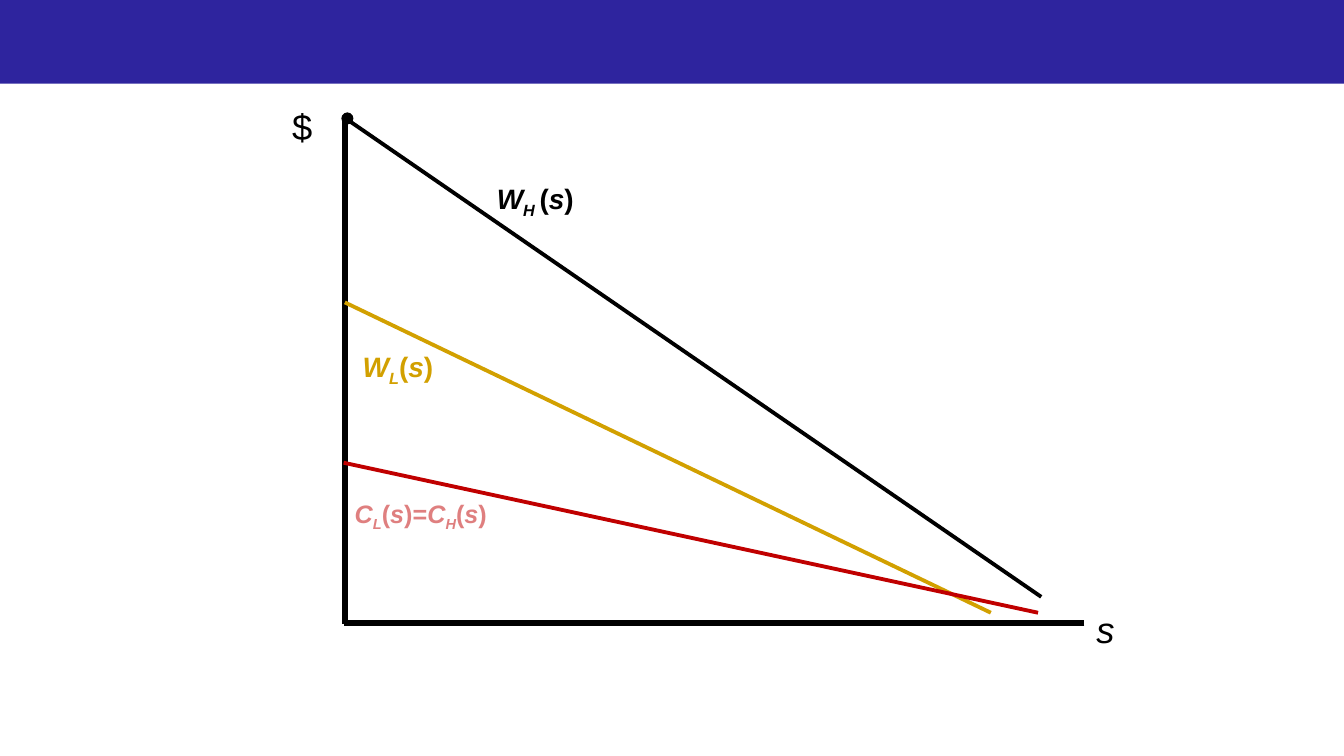
from lxml.etree import SubElement
from pptx import Presentation
from pptx.dml.color import RGBColor
from pptx.enum.shapes import MSO_CONNECTOR, MSO_SHAPE
from pptx.enum.text import MSO_AUTO_SIZE
from pptx.oxml.ns import qn
from pptx.util import Cm, Pt

BLACK, GOLD, RED, BLUE = "000000", "D2A000", "C00000", "2E249E"
WIDE, HIGH = 33.87, 19.05

# start x, start y, end x, end y (cm), colour, weight (pt)
LINES = [
    (8.69, 3.02, 8.69, 15.72, BLACK, 4),
    (27.33, 15.7, 8.66, 15.7, BLACK, 4),
    (24.97, 15.44, 8.69, 7.62, GOLD, 2.75),
    (26.16, 15.44, 8.66, 11.66, RED, 2.75),
    (26.24, 15.04, 8.69, 2.97, BLACK, 2.75),
]
# text, left, top, width, height (cm), size (pt), colour
AXES = [
    ("$", 7.11, 2.41, 1.65, 2.08, 26, BLACK),
    ("s", 27.38, 15.09, 1.12, 1.52, 26, BLACK),
]
# runs are parted by "|", and "_" marks a subscript
CURVES = [
    ("W|_L|(|s|)", 8.89, 8.69, 2.54, 1.12, 20, GOLD),
    ("W|_H |(|s|)", 12.27, 4.45, 2.74, 1.12, 20, BLACK),
    ("C|_L|(|s|)=|C|_H|(|s|)", 8.69, 12.42, 4.14, 1.02, 18, RED),
]


def rgb(code):
    return RGBColor.from_string(code)


def add_line(x1, y1, x2, y2, color, weight):
    line = slide.shapes.add_connector(
        MSO_CONNECTOR.STRAIGHT, Cm(x1), Cm(y1), Cm(x2), Cm(y2))
    line.line.color.rgb = rgb(color)
    line.line.width = Pt(weight)
    SubElement(line._element.spPr, qn("a:effectLst"))


def add_shape(kind, left, top, width, height, color):
    shape = slide.shapes.add_shape(kind, Cm(left), Cm(top), Cm(width), Cm(height))
    shape.shadow.inherit = False
    shape.fill.solid()
    shape.fill.fore_color.rgb = rgb(color)
    shape.line.fill.background()
    return shape


def add_label(text, left, top, width, height, size, color):
    """Add a text box whose letters are italic; return its frame."""
    box = slide.shapes.add_textbox(Cm(left), Cm(top), Cm(width), Cm(height))
    frame = box.text_frame
    frame.word_wrap = True
    para = frame.paragraphs[0]
    para.font.name = "Arial"
    para.font.size = Pt(size)
    for part in text.split("|"):
        run = para.add_run()
        run.text = part.lstrip("_")
        run.font.italic = run.text.strip().isalpha()
        run.font.color.rgb = rgb(color)
        if part.startswith("_"):
            run._r.get_or_add_rPr().set("baseline", "-25000")
    return frame


deck = Presentation()
deck.slide_width, deck.slide_height = Cm(WIDE), Cm(HIGH)
slide = deck.slides.add_slide(deck.slide_layouts[6])

add_shape(MSO_SHAPE.RECTANGLE, 0, 0, WIDE, 2.11, BLUE)
for line in LINES:
    add_line(*line)

for label in AXES:
    para = add_label(*label).paragraphs[0]
    para.line_spacing = 1.07
    para.space_after = Pt(8)

for label in CURVES:
    frame = add_label(*label)
    frame.auto_size = MSO_AUTO_SIZE.SHAPE_TO_FIT_TEXT
    frame.paragraphs[0].font.bold = True

# The cost label, last of the curves, is half transparent
frame.word_wrap = False
for tint in frame._txBody.iter(qn("a:srgbClr")):
    SubElement(tint, qn("a:alpha"), val="50000")

dot = add_shape(MSO_SHAPE.OVAL, 8.64, 2.87, 0.23, 0.23, BLACK)
dot.line.color.rgb = rgb(BLACK)
dot.line.width = Pt(2)

deck.save("out.pptx")
